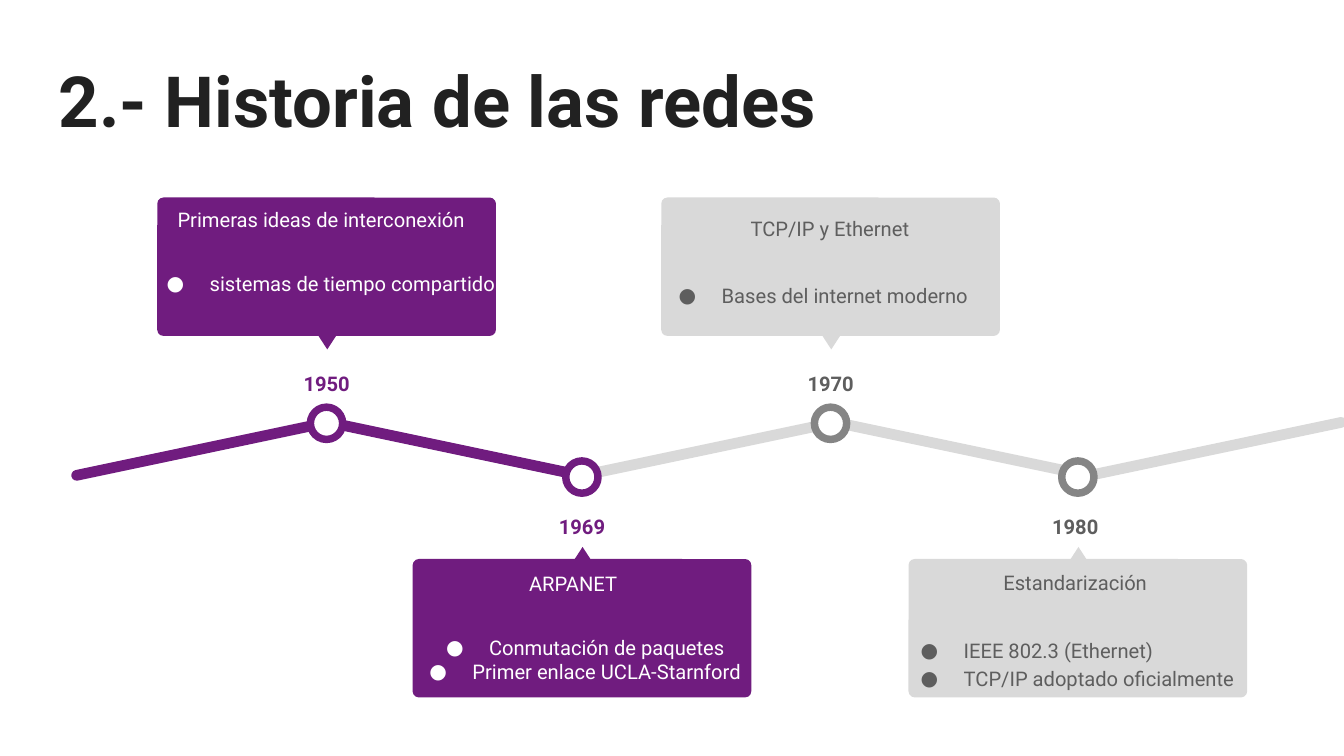
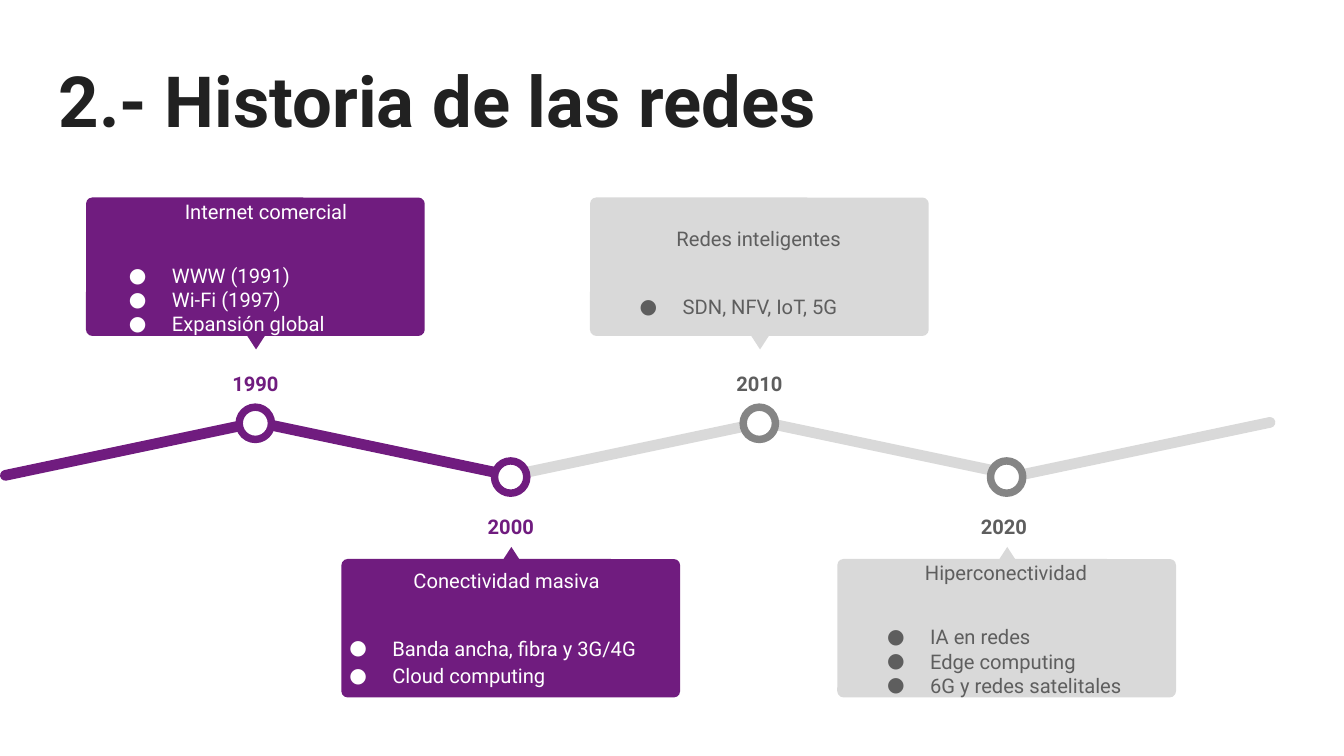
from dataclasses import dataclass

from lxml import etree
from pptx import Presentation
from pptx import util as u
from pptx.dml.color import RGBColor
from pptx.enum import shapes, text
from pptx.oxml import ns

PX = 9144  # EMU in one px, 100 px to the inch
FONT = "Roboto"
TITLE = "2.- Historia de las redes"
COLORS = {
    "title": "212121",
    "white": "FFFFFF",
    "purple": "701C7F",
    "light": "D9D9D9",
    "ring": "858585",
    "grey": "5E5E5E",
}

SLIDE_WIDTH = 1000
CARD_WIDTH, CARD_HEIGHT = 252, 103
YEAR_WIDTH, YEAR_HEIGHT = 102, 41
NODE_SIZE = 24
POINTER_WIDTH, POINTER_HEIGHT = 13, 10
SEGMENT_WIDTH, SEGMENT_HEIGHT = 199, 8
SEGMENT_TOP, SEGMENT_START, SEGMENT_COUNT = 330, 51, 5
SEGMENT_TILT = 11.9


@dataclass(frozen=True)
class Row:
    """Heights shared by the events on one side of the line."""
    card: int
    pointer: int
    pointer_turn: int
    year: int
    node: int


@dataclass(frozen=True)
class Theme:
    fill: str
    ring: str
    year: str
    body: str


@dataclass(frozen=True)
class Event:
    year: str
    heading: str
    bullets: tuple
    box: tuple
    spacing: float = 1.0
    centred_bullets: bool = False


ABOVE = Row(card=147, pointer=250, pointer_turn=180, year=263, node=303)
BELOW = Row(card=416, pointer=407, pointer_turn=0, year=370, node=343)
PURPLE = Theme("purple", "purple", "purple", "white")
GREY = Theme("light", "ring", "grey", "grey")

# Node centre, year centre, row and theme of each stop
STOPS = [
    (243, 243, ABOVE, PURPLE),
    (433, 433, BELOW, PURPLE),
    (618, 618, ABOVE, GREY),
    (802, 800, BELOW, GREY),
]

# Horizontal shift of the timeline and its events, one entry a slide
TIMELINES = [
    (0, [
        Event("1950", "Primeras ideas de interconexión",
              ("sistemas de tiempo compartido",), (93, 141, 292, 128)),
        Event("1969", "ARPANET",
              ("Conmutación de paquetes", "Primer enlace UCLA-Starnford"),
              (283, 412, 287, 115), centred_bullets=True),
        Event("1970", "TCP/IP y Ethernet",
              ("Bases del internet moderno",), (474, 145, 287, 103), 1.15),
        Event("1980", "Estandarización",
              ("IEEE 802.3 (Ethernet)", "TCP/IP adoptado oficialmente"),
              (654, 409, 292, 110), 1.15),
    ]),
    (-53, [
        Event("1990", "Internet comercial",
              ("WWW (1991)", "Wi-Fi (1997)", "Expansión global"),
              (65, 135, 266, 130)),
        Event("2000", "Conectividad masiva",
              ("Banda ancha, fibra y 3G/4G", "Cloud computing"),
              (229, 407, 296, 114), 1.15),
        Event("2010", "Redes inteligentes",
              ("SDN, NFV, IoT, 5G",), (445, 153, 239, 92), 1.15),
        Event("2020", "Hiperconectividad",
              ("IA en redes", "Edge computing", "6G y redes satelitales"),
              (629, 404, 239, 128)),
    ]),
]


def px(*lengths):
    return [u.Emu(length * PX) for length in lengths]


def rgb(color):
    return RGBColor.from_string(COLORS[color])


def add_figure(parent, kind, box, fill, turn=0, radius=None):
    shape = parent.add_shape(kind, *px(*box))
    shape.shadow.inherit = False
    shape.fill.solid()
    shape.fill.fore_color.rgb = rgb(fill)
    shape.line.fill.background()
    shape.rotation = turn
    if radius is not None:
        shape.adjustments[0] = radius
    return shape


def add_text_frame(parent, box, inset):
    frame = parent.add_textbox(*px(*box)).text_frame
    frame.word_wrap = True
    frame.vertical_anchor = text.MSO_ANCHOR.TOP
    (frame.margin_left, frame.margin_top,
     frame.margin_right, frame.margin_bottom) = px(*[inset] * 4)
    return frame


def format_runs(paragraph, size, color, bold=False):
    for run in paragraph.runs:
        run.font.name = FONT
        run.font.size = u.Pt(size)
        run.font.bold = bold
        run.font.color.rgb = rgb(color)


def set_bullet(paragraph, color):
    properties = paragraph._p.get_or_add_pPr()
    left, indent = px(50, -32)
    properties.set("marL", str(left))
    properties.set("indent", str(indent))
    bullet_color = etree.SubElement(properties, ns.qn("a:buClr"))
    etree.SubElement(bullet_color, ns.qn("a:srgbClr"), val=COLORS[color])
    etree.SubElement(properties, ns.qn("a:buFont"), typeface=FONT)
    etree.SubElement(properties, ns.qn("a:buChar"), char="●")


def add_title(slide):
    frame = add_text_frame(slide.shapes, (34, 32, 932, 88), 10)
    frame.text = TITLE
    format_runs(frame.paragraphs[0], 37.8, "title", bold=True)


def add_zigzag(slide, shift):
    """Draw the line from right to left, so that purple lies over grey."""
    for index in reversed(range(SEGMENT_COUNT)):
        left = SEGMENT_START + index * 377 // 2 + shift
        add_figure(slide.shapes, shapes.MSO_SHAPE.ROUNDED_RECTANGLE,
                   (left, SEGMENT_TOP, SEGMENT_WIDTH, SEGMENT_HEIGHT),
                   "purple" if index < 2 else "light",
                   SEGMENT_TILT if index % 2 else -SEGMENT_TILT, 0.5)


def add_node(parent, center, top, ring):
    node = add_figure(parent, shapes.MSO_SHAPE.OVAL,
                      (center - NODE_SIZE // 2, top, NODE_SIZE, NODE_SIZE),
                      "white")
    node.line.color.rgb = rgb(ring)
    node.line.width = u.Pt(4)


def add_year(parent, center, top, year, color):
    frame = add_text_frame(
        parent, (center - YEAR_WIDTH // 2, top, YEAR_WIDTH, YEAR_HEIGHT), 13)
    frame.text = year
    paragraph = frame.paragraphs[0]
    paragraph.alignment = text.PP_ALIGN.CENTER
    paragraph.line_spacing = 1.15
    format_runs(paragraph, 10.8, color, bold=True)


def add_card(parent, center, row, fill):
    add_figure(parent, shapes.MSO_SHAPE.ROUNDED_RECTANGLE,
               (center - CARD_WIDTH // 2, row.card, CARD_WIDTH, CARD_HEIGHT),
               fill, radius=0.045)
    add_figure(parent, shapes.MSO_SHAPE.ISOSCELES_TRIANGLE,
               (center - POINTER_WIDTH // 2, row.pointer,
                POINTER_WIDTH, POINTER_HEIGHT), fill, row.pointer_turn)


def add_description(parent, event, color):
    frame = add_text_frame(parent, event.box, 13)
    frame.text = "\n".join((event.heading, *event.bullets))
    for index, paragraph in enumerate(frame.paragraphs):
        centred = index == 0 or event.centred_bullets
        paragraph.alignment = (text.PP_ALIGN.CENTER if centred
                               else text.PP_ALIGN.LEFT)
        paragraph.line_spacing = event.spacing
        if index == 1:
            paragraph.space_before = u.Pt(21.5)
        if index > 0:
            set_bullet(paragraph, color)
        format_runs(paragraph, 10.8, color)


def add_event(slide, event, stop, shift):
    node_center, year_center, row, theme = stop
    group = slide.shapes.add_group_shape().shapes
    add_node(group, node_center + shift, row.node, theme.ring)
    add_year(group, year_center + shift, row.year, event.year, theme.year)
    add_card(group, node_center + shift, row, theme.fill)
    add_description(group, event, theme.body)


def main():
    presentation = Presentation()
    presentation.slide_width = u.Emu(SLIDE_WIDTH * PX)
    presentation.slide_height = u.Emu(SLIDE_WIDTH * PX * 9 // 16)
    for shift, events in TIMELINES:
        slide = presentation.slides.add_slide(presentation.slide_layouts[6])
        add_title(slide)
        add_zigzag(slide, shift)
        for event, stop in zip(events, STOPS):
            add_event(slide, event, stop, shift)
    presentation.save("out.pptx")


if __name__ == "__main__":
    main()
